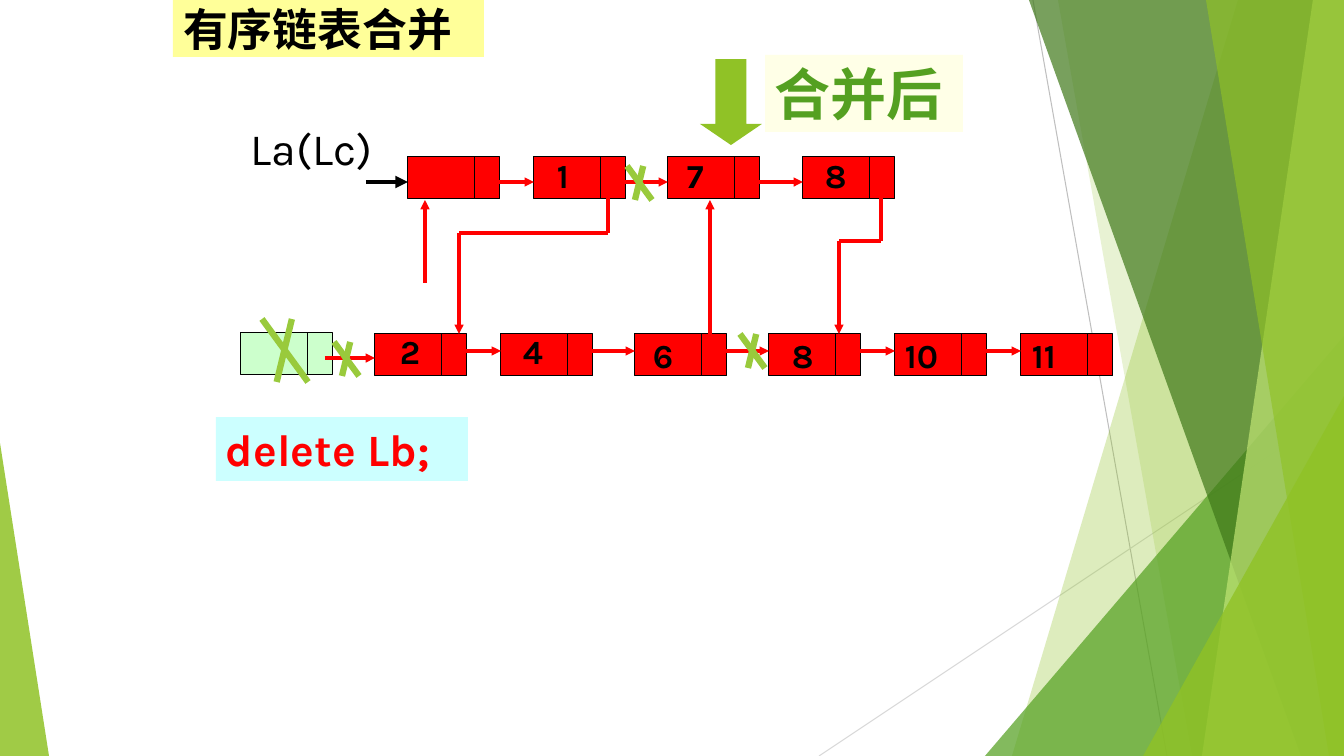
from itertools import pairwise

from lxml.etree import SubElement
from pptx import Presentation
from pptx.dml.color import RGBColor
from pptx.enum.shapes import MSO_CONNECTOR, MSO_SHAPE
from pptx.enum.text import MSO_ANCHOR, MSO_AUTO_SIZE, PP_ALIGN
from pptx.oxml.ns import qn
from pptx.util import Pt

PX = 914400 / 100.8
WIDE, HIGH = 1344, 756
DATA, LINK, TALL = 67, 25, 42  # parts of a list node
RED, BLACK, LIME, GREEN = "FF0000", "000000", "90C226", "54A021"
CJK = "Noto Sans CJK SC"


def emu(*vals):
    return [round(val * PX) for val in vals]


def paint(target, color, alpha=100):
    """Give a fill or line format a solid colour, alpha in percent."""
    target.solid()
    target.fore_color.rgb = RGBColor.from_string(color)
    if alpha < 100:
        tint = target._xPr.find(qn("a:solidFill"))[0]
        SubElement(tint, qn("a:alpha"), val=str(alpha * 1000))


def finish(shape, color, alpha=100, edge=None):
    shape.shadow.inherit = False
    paint(shape.fill, color, alpha)
    if edge:
        paint(shape.line.fill, edge)
        shape.line.width = Pt(0.75)
    else:
        shape.line.fill.background()


def line(shapes, start, end, color, width, arrow=False):
    link = shapes.add_connector(MSO_CONNECTOR.STRAIGHT, *emu(*start, *end))
    paint(link.line.fill, color)
    link.line.width = Pt(width)
    if arrow:
        SubElement(link.line._get_or_add_ln(), qn("a:tailEnd"), type="triangle")
    SubElement(link._element.spPr, qn("a:effectLst"))


def route(shapes, *points):
    """Draw a red path through the points with an arrowhead at its end."""
    for start, end in pairwise(points):
        line(shapes, start, end, RED, 2.25, end == points[-1])


def write(frame, text, size, font, color=BLACK, bold=True):
    par = frame.paragraphs[0]
    par.alignment = PP_ALIGN.LEFT
    run = par.add_run()
    run.text = text
    run.font.size, run.font.name, run.font.bold = Pt(size), font, bold
    run.font.color.rgb = RGBColor.from_string(color)
    SubElement(run._r.get_or_add_rPr(), qn("a:ea"), typeface=CJK)


def label(shapes, box, text, size, font, color=BLACK, bold=True, fill=None, wrap=True):
    area = shapes.add_textbox(*emu(*box))
    frame = area.text_frame
    frame.word_wrap = wrap
    frame.auto_size = MSO_AUTO_SIZE.SHAPE_TO_FIT_TEXT
    if fill:
        paint(area.fill, fill)
    write(frame, text, size, font, color, bold)


def veil(shapes, top, base, color, alpha):
    """Cover the slide from a slanted left edge to its right side."""
    pen = shapes.build_freeform(top, 0, scale=PX)
    pen.add_line_segments([(WIDE, 0), (WIDE, HIGH), (base, HIGH)])
    finish(pen.convert_to_shape(), color, alpha)


def wedge(shapes, left, top, width, apex, color, alpha):
    box = emu(left, top, width, HIGH - top)
    shape = shapes.add_shape(MSO_SHAPE.ISOSCELES_TRIANGLE, *box)
    shape.adjustments[0] = apex
    finish(shape, color, alpha)


def backdrop(shapes):
    line(shapes, (1033, 0), (1167, HIGH), "BFBFBF", 0.75)
    line(shapes, (WIDE, 406), (819, HIGH), "D9D9D9", 0.75)
    veil(shapes, 1238, 1012, LIME, 30)
    veil(shapes, 1058, 1192, LIME, 20)
    wedge(shapes, 985, 336, 359, 1, GREEN, 72)
    veil(shapes, 1029, 1301, "3F7819", 70)
    veil(shapes, 1313, 1202, "C0E474", 70)
    veil(shapes, 1206, 1329, LIME, 65)
    wedge(shapes, 1143, 396, 201, 1, LIME, 80)
    wedge(shapes, 0, 443, 49, 0, LIME, 85)


def node(shapes, left, top, color=RED):
    for x, width in ((left, DATA), (left + DATA, LINK)):
        cell = shapes.add_shape(MSO_SHAPE.RECTANGLE, *emu(x, top, width, TALL))
        finish(cell, color, edge=BLACK)


def chain(shapes, top, level, items):
    """Draw linked nodes; each item is left, value, value offset x and y."""
    for left, *_ in items:
        node(shapes, left, top)
    for left, *_ in items[1:]:
        route(shapes, (left - 50, level), (left, level))
    for left, value, dx, dy in items:
        if value:
            width = 41 if len(value) == 1 else 62
            box = (left + dx, top + dy, width, 50)
            label(shapes, box, value, 24, "Karla", wrap=False)


def cross(shapes, left, top, width=25, height=34):
    base = top + height
    line(shapes, (left + width * 0.65, top), (left + width * 0.32, base), "99CA3C", 4.5)
    line(shapes, (left, top), (left + width, base), "99CA3C", 4.5)


def merge(shapes):
    """Draw both lists, the new links between them and the cut links."""
    chain(shapes, 157, 182, [
        (408, "", 0, 0), (534, "1", 13, -7), (668, "7", 9, -7), (803, "8", 12, -7)])
    chain(shapes, 334, 351, [
        (375, "2", 15, -8), (501, "4", 12, -8), (635, "6", 8, -4),
        (769, "8", 13, -4), (895, "10", 0, -4), (1021, "11", 1, -4)])
    node(shapes, 241, 333, "CCFFCC")
    route(shapes, (325, 358), (375, 358))
    route(shapes, (425, 283), (425, 200))
    route(shapes, (608, 182), (608, 233), (459, 233), (459, 334))
    route(shapes, (710, 351), (710, 200))
    route(shapes, (881, 182), (881, 241), (839, 241), (839, 334))
    line(shapes, (366, 182), (408, 182), BLACK, 3, True)
    for left, top in ((627, 166), (740, 334), (334, 342)):
        cross(shapes, left, top)
    cross(shapes, 262, 319, 46, 63)


def notes(shapes):
    label(shapes, (241, 116, 149, 64), "La(Lc)", 32, "Karla", bold=False)
    arrow = shapes.add_shape(MSO_SHAPE.DOWN_ARROW, *emu(700, 59, 62, 86))
    arrow.adjustments[1] = 0.34
    finish(arrow, LIME)
    label(shapes, (765, 55, 198, 77), "合并后", 40, "Times New Roman", GREEN, fill="FFFFE7")
    label(shapes, (216, 417, 252, 64), "delete Lb;", 32, "Karla", RED, fill="CCFFFF")


def heading(title, box):
    title.left, title.top, title.width, title.height = emu(*box)
    paint(title.fill, "FFFF99")
    frame = title.text_frame
    frame.vertical_anchor = MSO_ANCHOR.MIDDLE
    frame.auto_size = MSO_AUTO_SIZE.NONE
    write(frame, "有序链表合并", 32, CJK)


def main():
    deck = Presentation()
    deck.slide_width, deck.slide_height = emu(WIDE, HIGH)
    slide = deck.slides.add_slide(deck.slide_layouts[5])
    backdrop(slide.shapes)
    merge(slide.shapes)
    notes(slide.shapes)
    heading(slide.shapes.title, (173, 0, 311, 57))
    deck.save("out.pptx")


if __name__ == "__main__":
    main()
